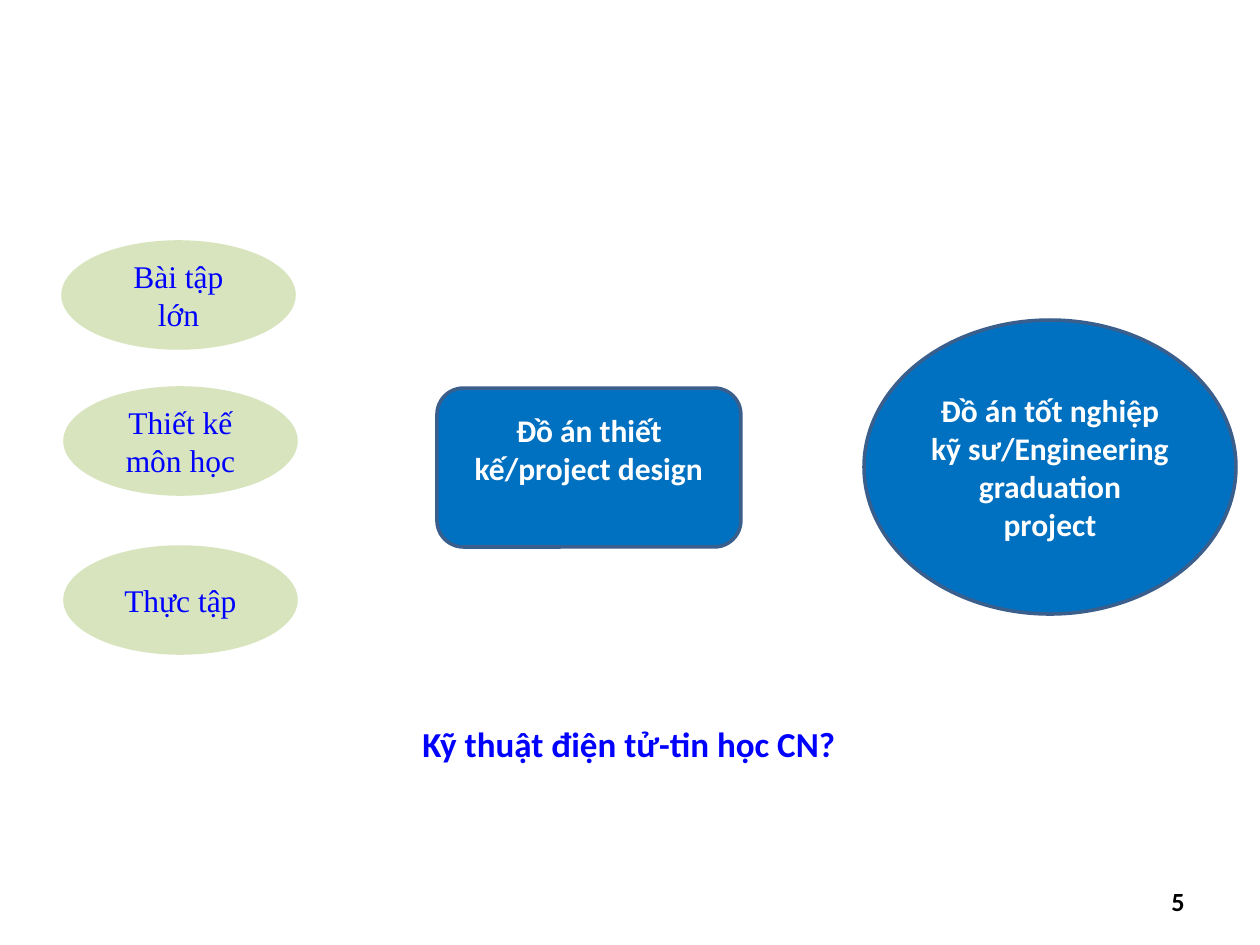
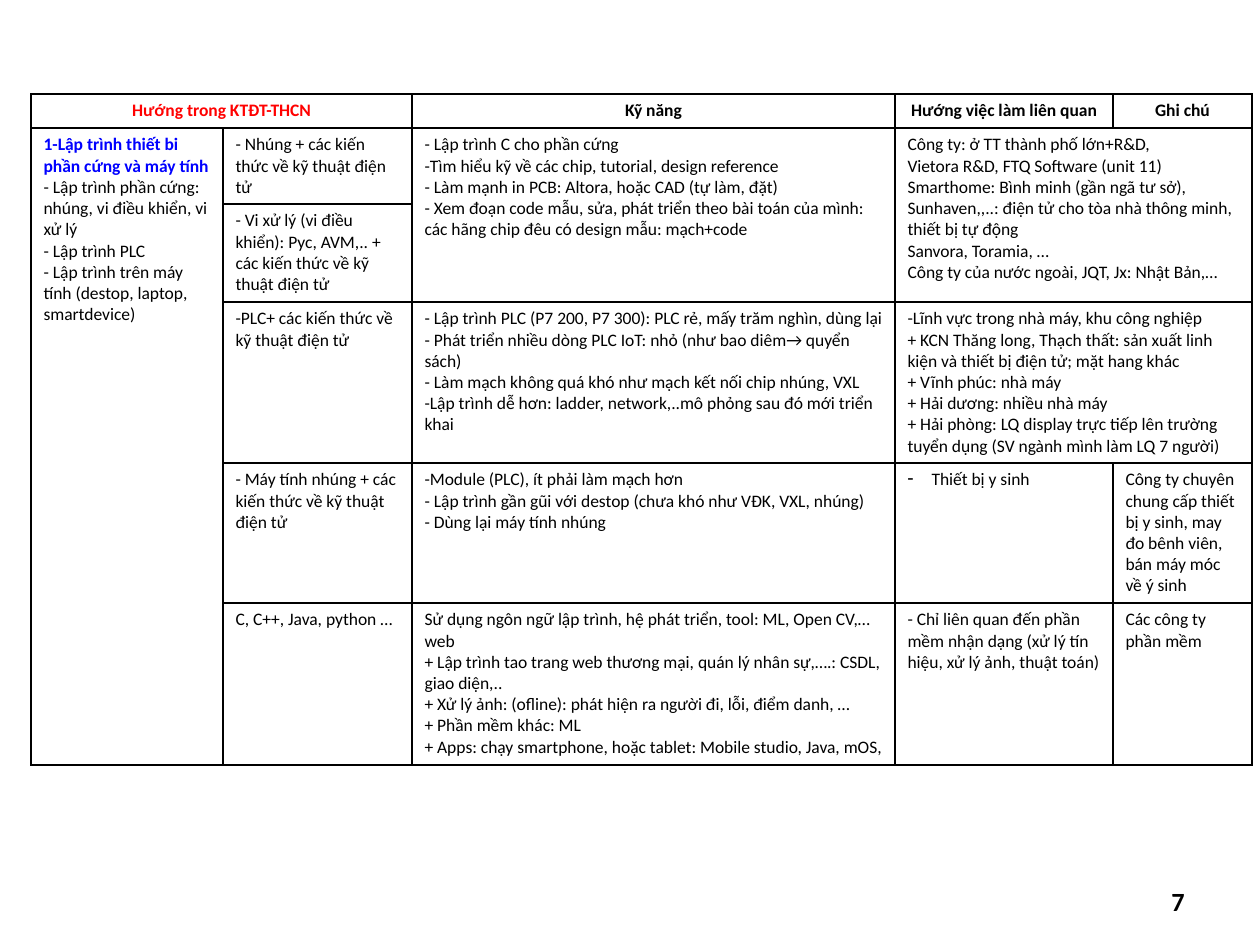
"""Builds two slides on study projects and career directions in electronics."""
from dataclasses import dataclass

from lxml import etree
from pptx import Presentation
from pptx.dml.color import RGBColor
from pptx.enum.shapes import MSO_SHAPE
from pptx.enum.text import MSO_ANCHOR, PP_ALIGN
from pptx.oxml.ns import qn
from pptx.util import Emu, Pt

ELLIPSE, ROUNDED = MSO_SHAPE.OVAL, MSO_SHAPE.ROUNDED_RECTANGLE
TOP, MIDDLE = MSO_ANCHOR.TOP, MSO_ANCHOR.MIDDLE
LEFT, CENTER, RIGHT = PP_ALIGN.LEFT, PP_ALIGN.CENTER, PP_ALIGN.RIGHT
PX_PER_INCH = 126
BLANK_LAYOUT = 6


def px(length):
    """Turn whole pixels into EMU."""
    return Emu(round(length * 914400 / PX_PER_INCH))


@dataclass(frozen=True)
class TextStyle:
    """Look of one kind of paragraph."""
    size: int
    color: str
    bold: bool = False
    align: PP_ALIGN = LEFT
    font: str = "Calibri"


@dataclass(frozen=True)
class Theme:
    """Colours and type styles of the deck."""
    white: str = "FFFFFF"
    black: str = "000000"
    project: str = "0070C0"
    project_edge: str = "3A5F8C"
    course: str = "D7E4BD"
    page_number: TextStyle = TextStyle(15, "000000", True, RIGHT)
    project_text: TextStyle = TextStyle(18, "FFFFFF", True, CENTER)
    course_text: TextStyle = TextStyle(18, "0000FF", False, CENTER, "Times New Roman")
    question: TextStyle = TextStyle(20, "0000FF", True, CENTER)
    heading: TextStyle = TextStyle(10, "000000", True, CENTER)
    main_heading: TextStyle = TextStyle(10, "FF0000", True, CENTER)
    lead: TextStyle = TextStyle(10, "0000FF", True)
    body: TextStyle = TextStyle(10, "000000")


THEME = Theme()


@dataclass(frozen=True)
class TableCell:
    """Place, span and paragraphs of one table cell."""
    row: int
    column: int
    lines: tuple
    rows: int = 1
    columns: int = 1
    style: TextStyle = THEME.body
    lead: TextStyle | None = None
    bullet: str = ""


class SlideBuilder:
    """Adds styled elements to the current slide."""

    def __init__(self, deck, theme):
        self.deck = deck
        self.theme = theme
        self.slide = None

    def start_slide(self, number):
        """Open a slide and add its page number."""
        self.slide = self.deck.slides.add_slide(self.deck.slide_layouts[BLANK_LAYOUT])
        self.text(number, (903, 876, 294, 50), self.theme.page_number, MIDDLE)

    def fill_text(self, frame, lines, style, lead=None):
        """Fill a text frame, one paragraph per line."""
        frame.word_wrap = True
        for index, line in enumerate(lines):
            para = frame.paragraphs[0] if index == 0 else frame.add_paragraph()
            look = lead if lead and index == 0 else style
            para.text = line
            para.alignment = look.align
            para.font.size = Pt(look.size)
            para.font.name = look.font
            para.font.bold = look.bold
            para.font.color.rgb = RGBColor.from_string(look.color)

    def text(self, words, area, style, anchor=TOP):
        """Add a text box."""
        box = self.slide.shapes.add_textbox(*map(px, area))
        box.text_frame.vertical_anchor = anchor
        self.fill_text(box.text_frame, [words], style)

    def shape(self, kind, words, area, fill, edge, style):
        """Add a filled preset shape with centred text."""
        box = self.slide.shapes.add_shape(kind, *map(px, area))
        box.shadow.inherit = False
        box.fill.solid()
        box.fill.fore_color.rgb = RGBColor.from_string(fill)
        box.line.color.rgb = RGBColor.from_string(edge)
        box.line.width = Pt(2)
        box.text_frame.vertical_anchor = MIDDLE
        self.fill_text(box.text_frame, [words], style)
        return box

    def bullet(self, para, mark, indent):
        """Give a paragraph a hanging bullet."""
        properties = para._p.get_or_add_pPr()
        properties.set("marL", str(px(indent)))
        properties.set("indent", str(-px(indent)))
        character = etree.Element(qn("a:buChar"), char=mark)
        properties.insert(0, character)

    def finish_cell(self, cell):
        """Give a cell a thin border and a plain fill."""
        properties = cell._tc.get_or_add_tcPr()
        for side in ("lnL", "lnR", "lnT", "lnB"):
            line = etree.SubElement(properties, qn(f"a:{side}"), w=str(Pt(1)))
            paint = etree.SubElement(line, qn("a:solidFill"))
            etree.SubElement(paint, qn("a:srgbClr"), val=self.theme.black)
        cell.fill.solid()
        cell.fill.fore_color.rgb = RGBColor.from_string(self.theme.white)

    def table(self, left, top, widths, heights, entries):
        """Add a bordered table from cell entries."""
        frame = self.slide.shapes.add_table(
            len(heights), len(widths), px(left), px(top), px(sum(widths)), px(sum(heights)))
        table = frame.table
        table.first_row = table.horz_banding = False
        for column, width in zip(table.columns, widths):
            column.width = px(width)
        for row, height in zip(table.rows, heights):
            row.height = px(height)
        for cell in table.iter_cells():
            self.finish_cell(cell)
        for entry in entries:
            cell = table.cell(entry.row, entry.column)
            if entry.rows > 1 or entry.columns > 1:
                cell.merge(table.cell(entry.row + entry.rows - 1,
                                      entry.column + entry.columns - 1))
            self.fill_text(cell.text_frame, entry.lines, entry.style, entry.lead)
            if entry.bullet:
                self.bullet(cell.text_frame.paragraphs[0], entry.bullet, 24)


HEADINGS = (
    TableCell(0, 0, ("Hướng trong KTĐT-THCN",), columns=2, style=THEME.main_heading),
    TableCell(0, 2, ("Kỹ năng",), style=THEME.heading),
    TableCell(0, 3, ("Hướng việc làm liên quan",), style=THEME.heading),
    TableCell(0, 4, ("Ghi chú",), style=THEME.heading),
)

CAREERS = (
    TableCell(1, 0, (
        "1-Lập trình thiết bi phần cứng và máy tính",
        "- Lập trình phần cứng: nhúng, vi điều khiển, vi xử lý",
        "- Lập trình PLC",
        "- Lập trình trên máy tính (destop, laptop, smartdevice)",
    ), rows=5, lead=THEME.lead),
    TableCell(1, 1, ("- Nhúng + các kiến thức về kỹ thuật điện tử",)),
    TableCell(1, 2, (
        "- Lập trình C cho phần cứng",
        "-Tìm hiểu kỹ về các chip, tutorial, design reference",
        "- Làm mạnh in PCB: Altora, hoặc CAD (tự làm, đặt)",
        "- Xem đoạn code mẫu, sửa, phát triển theo bài toán của mình: "
        "các hãng chip đêu có design mẫu: mạch+code",
    ), rows=2),
    TableCell(1, 3, (
        "Công ty: ở TT thành phố lớn+R&D,",
        "Vietora R&D, FTQ Software (unit 11)",
        "Smarthome: Bình minh (gần ngã tư sở), Sunhaven,,..: "
        "điện tử cho tòa nhà thông minh, thiết bị tự động",
        "Sanvora, Toramia, …",
        "Công ty của nước ngoài, JQT, Jx: Nhật Bản,…",
    ), rows=2, columns=2),
    TableCell(2, 1, ("- Vi xử lý (vi điều khiển): Pyc, AVM,.. + các kiến thức về kỹ thuật điện tử",)),
    TableCell(3, 1, ("-PLC+ các kiến thức về kỹ thuật điện tử",)),
    TableCell(3, 2, (
        "- Lập trình PLC (P7 200, P7 300): PLC rẻ, mấy trăm nghìn, dùng lại",
        "- Phát triển nhiều dòng PLC IoT: nhỏ (như bao diêm→ quyển sách)",
        "- Làm mạch không quá khó như mạch kết nối chip nhúng, VXL",
        "-Lập trình dễ hơn: ladder, network,..mô phỏng sau đó mới triển khai",
    )),
    TableCell(3, 3, (
        "-Lĩnh vực trong nhà máy, khu công nghiệp",
        "+ KCN Thăng long, Thạch thất: sản xuất linh kiện và thiết bị điện tử; mặt hang khác",
        "+ Vĩnh phúc: nhà máy",
        "+ Hải dương: nhiều nhà máy",
        "+ Hải phòng: LQ display trực tiếp lên trường tuyển dụng (SV ngành mình làm LQ 7 người)",
    ), columns=2),
    TableCell(4, 1, ("- Máy tính nhúng + các kiến thức về kỹ thuật điện tử",)),
    TableCell(4, 2, (
        "-Module (PLC), ít phải làm mạch hơn",
        "- Lập trình gần gũi với destop (chưa khó như VĐK, VXL, nhúng)",
        "- Dùng lại máy tính nhúng",
    )),
    TableCell(4, 3, ("Thiết bị y sinh",), bullet="-"),
    TableCell(4, 4, ("Công ty chuyên chung cấp thiết bị y sinh, may đo bênh viên, "
                     "bán máy móc về ý sinh",)),
    TableCell(5, 1, ("C, C++, Java, python …",)),
    TableCell(5, 2, (
        "Sử dụng ngôn ngữ lập trình, hệ phát triển, tool: ML, Open CV,…web",
        "+ Lập trình tao trang web thương mại, quán lý nhân sự,….: CSDL, giao diện,..",
        "+ Xử lý ảnh: (ofline): phát hiện ra người đi, lỗi, điểm danh, …",
        "+ Phần mềm khác: ML",
        "+ Apps: chạy smartphone, hoặc tablet: Mobile studio, Java, mOS,",
    )),
    TableCell(5, 3, ("- Chỉ liên quan đến phần mềm nhận dạng "
                     "(xử lý tín hiệu, xử lý ảnh, thuật toán)",)),
    TableCell(5, 4, ("Các công ty phần mềm",)),
)


def build_projects(builder):
    """Slide with the course work leading to the graduation project."""
    theme = builder.theme
    builder.start_slide("5")
    project_look = (theme.project, theme.project_edge, theme.project_text)
    builder.shape(ELLIPSE, "Đồ án tốt nghiệp kỹ sư/Engineering graduation project",
                  (864, 320, 372, 294), *project_look)
    design = builder.shape(ROUNDED, "Đồ án thiết kế/project design",
                           (437, 388, 304, 159), *project_look)
    design.text_frame.margin_bottom = px(44)
    courses = (("Bài tập lớn", 63, 242), ("Thiết kế môn học", 65, 388), ("Thực tập", 65, 547))
    for words, left, top in courses:
        builder.shape(ELLIPSE, words, (left, top, 231, 106),
                      theme.course, theme.course, theme.course_text)
    builder.text("Kỹ thuật điện tử-tin học CN?", (370, 716, 518, 55), theme.question)


def build_careers(builder):
    """Slide with the table of directions, skills and jobs."""
    builder.start_slide("7")
    builder.table(31, 94, (192, 189, 483, 218, 139), (34, 76, 98, 161, 140, 162),
                  HEADINGS + CAREERS)


def main():
    """Build and save the deck."""
    deck = Presentation()
    deck.slide_width, deck.slide_height = px(1260), px(945)
    builder = SlideBuilder(deck, THEME)
    build_projects(builder)
    build_careers(builder)
    deck.save("out.pptx")


if __name__ == "__main__":
    main()
